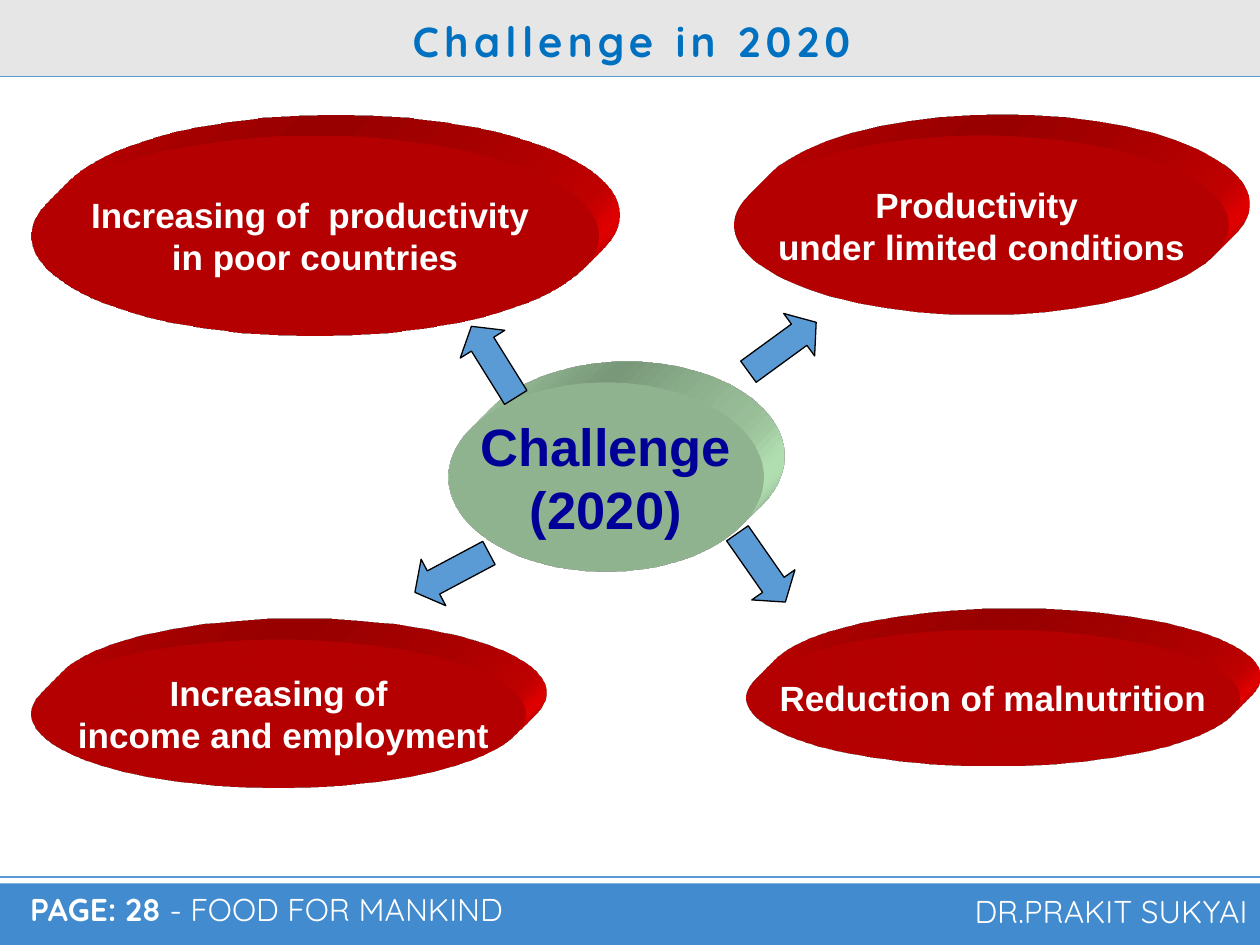
from dataclasses import dataclass

from lxml import etree
from pptx import Presentation
from pptx.dml.color import RGBColor
from pptx.enum.shapes import MSO_CONNECTOR, MSO_SHAPE
from pptx.enum.text import MSO_ANCHOR, PP_ALIGN
from pptx.oxml import parse_xml
from pptx.oxml.ns import qn
from pptx.util import Cm, Pt

OVAL = MSO_SHAPE.FLOWCHART_CONNECTOR
ARROW = MSO_SHAPE.DOWN_ARROW
RECT = MSO_SHAPE.RECTANGLE
LINE = MSO_CONNECTOR.STRAIGHT
LEFT, MID, RIGHT = PP_ALIGN.LEFT, PP_ALIGN.CENTER, PP_ALIGN.RIGHT
TOP, CENTER, BASE = MSO_ANCHOR.TOP, MSO_ANCHOR.MIDDLE, MSO_ANCHOR.BOTTOM
NS = "http://schemas.openxmlformats.org/drawingml/2006/main"


@dataclass(frozen=True)
class Theme:
    white: str = "FFFFFF"
    black: str = "000000"
    gray: str = "E7E6E6"
    blue: str = "5B9BD5"
    band: str = "428BCE"
    title: str = "0070C0"
    navy: str = "000099"
    green: str = "CCFFCC"
    red: str = "FF0000"
    body: str = "Arial"
    head: str = "Quicksand"
    core: int = 30
    top: int = 24
    node: int = 20
    foot: int = 18


T = Theme()


def rgb(code):
    return RGBColor.from_string(code)


def style(run, face, size, color, bold=False):
    font = run.font
    font.name, font.size, font.bold = face, Pt(size), bold
    font.color.rgb = rgb(color)


def add_shape(slide, kind, box, fill):
    shape = slide.shapes.add_shape(kind, *map(Cm, box))
    shape.shadow.inherit = False
    shape.fill.solid()
    shape.fill.fore_color.rgb = rgb(fill)
    shape.line.fill.background()
    return shape


def add_rule(slide, x, y, width, weight):
    rule = slide.shapes.add_connector(LINE, Cm(x), Cm(y), Cm(x + width), Cm(y))
    rule.line.color.rgb = rgb(T.blue)
    rule.line.width = Pt(weight)
    etree.SubElement(rule._element.spPr, qn("a:effectLst"))


def add_text(slide, box, parts, size, color, align=LEFT, anchor=TOP, space=None):
    """One line of text; parts are (words, bold) pairs."""
    frame = slide.shapes.add_textbox(*map(Cm, box)).text_frame
    frame.word_wrap = True
    frame.vertical_anchor = anchor
    line = frame.paragraphs[0]
    line.alignment, line.line_spacing = align, space
    for words, bold in parts:
        run = line.add_run()
        run.text = words
        style(run, T.head, size, color, bold)
    return line


def extrude(shape, color):
    """Give the shape depth towards the upper right."""
    scene = (f'<a:scene3d xmlns:a="{NS}"><a:camera prst="legacyObliqueTopRight"/>'
             '<a:lightRig rig="legacyFlat3" dir="b"/></a:scene3d>')
    solid = (f'<a:sp3d xmlns:a="{NS}" extrusionH="430200" prstMaterial="legacyMatte">'
             '<a:bevelT w="13500" h="13500" prst="angle"/>'
             '<a:bevelB w="13500" h="13500" prst="angle"/>'
             f'<a:extrusionClr><a:srgbClr val="{color}"/></a:extrusionClr></a:sp3d>')
    for xml in (scene, solid):
        shape._element.spPr.append(parse_xml(xml))


def add_oval(slide, box, text, fill, size, color):
    oval = add_shape(slide, OVAL, box, fill)
    extrude(oval, fill)
    frame = oval.text_frame
    frame.text = text
    frame.word_wrap = False
    frame.vertical_anchor = CENTER
    for line in frame.paragraphs:
        line.alignment = MID
        for run in line.runs:
            style(run, T.body, size, color, True)


def add_arrow(slide, x, y, angle):
    arrow = add_shape(slide, ARROW, (x, y, 1.06, 1.69), T.blue)
    arrow.adjustments[0], arrow.adjustments[1] = 0.5, 0.4
    arrow.rotation = angle
    arrow.line.color.rgb = rgb(T.black)
    arrow.line.width = Pt(0.75)


def add_header(slide, x, y, width, height):
    add_shape(slide, RECT, (x, y, width, height), T.gray)
    line = add_text(slide, (x + 0.53, y + 0.18, width - 0.99, 1.27),
                    [("Challenge in 2020", True)], T.top, T.title, MID)
    line.runs[0].font._element.set("spc", "300")
    add_rule(slide, x, y + height, width, 0.5)


def add_map(slide, x, y, width, height):
    # Central theme
    add_oval(slide, (x + 9.04, y + 6.17, 6.35, 3.81), "Challenge\n(2020)",
             T.green, T.core, T.navy)
    # Challenges around it
    nodes = [
        (14.81, 1.19, 9.96, 3.61, "Productivity \nunder limited conditions"),
        (15.04, 11.15, 9.96, 2.74, "Reduction of malnutrition"),
        (0.64, 1.19, 11.43, 4.02, "Increasing of  productivity \nin poor countries"),
        (0.64, 11.35, 9.96, 2.97, "Increasing of\n income and employment"),
    ]
    for left, top, wide, high, text in nodes:
        add_oval(slide, (x + left, y + top, wide, high), text, T.red, T.node, T.white)
    # Arrows pointing outwards
    arrows = [(15.24, 4.6, 233.9), (14.82, 9.05, 325.1),
              (9.42, 4.9, 148.1), (8.58, 9.15, 62)]
    for left, top, angle in arrows:
        add_arrow(slide, x + left, y + top, angle)


def add_footer(slide, x, y, width, height):
    add_shape(slide, RECT, (x, y, width, height), T.band)
    add_text(slide, (x + 0.36, y + 0.15, 13.61, 0.91),
             [("PAGE: 28 ", True), ("- FOOD FOR MANKIND", False)],
             T.foot, T.white, space=0.8)
    add_text(slide, (x + width - 8.18, y + 0.15, 8.18, 0.91),
             [("DR.PRAKIT SUKYAI", False)], T.foot, T.white, RIGHT, BASE, 0.8)
    add_rule(slide, x, y - 0.13, width, 1.5)


def main():
    deck = Presentation()
    deck.slide_width, deck.slide_height = Cm(25.4), Cm(19.05)
    slide = deck.slides.add_slide(deck.slide_layouts[6])
    add_map(slide, 0, 1.55, 25.4, 16.26)
    add_footer(slide, 0, 17.81, 25.4, 1.24)
    add_header(slide, 0, 0, 25.4, 1.55)
    deck.save("out.pptx")


if __name__ == "__main__":
    main()
